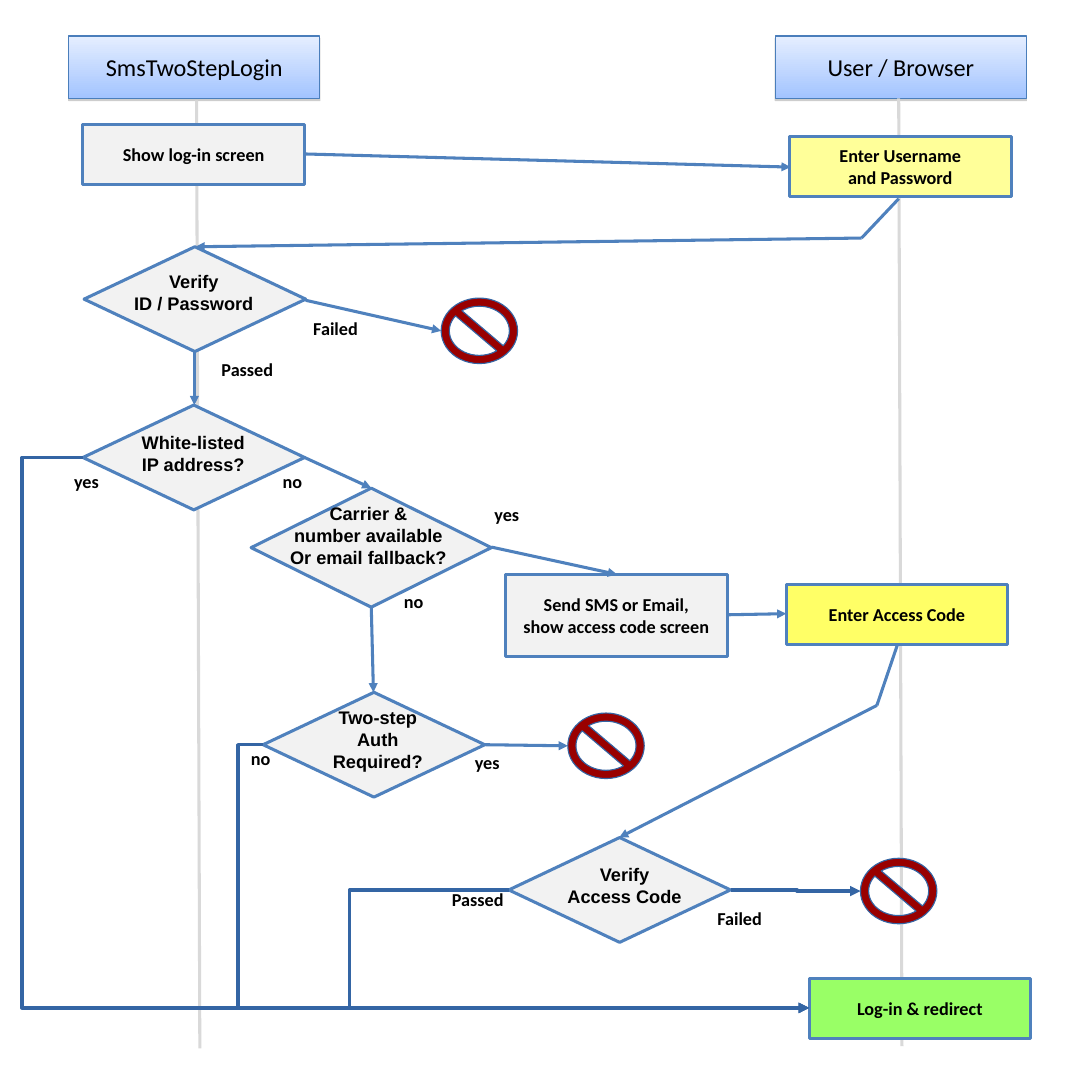
from lxml.etree import SubElement
from pptx import Presentation
from pptx.dml.color import RGBColor
from pptx.enum.shapes import MSO_CONNECTOR, MSO_SHAPE
from pptx.enum.text import MSO_ANCHOR, MSO_AUTO_SIZE, PP_ALIGN
from pptx.oxml import parse_xml
from pptx.oxml.ns import nsdecls, qn
from pptx.util import Inches, Pt

BLUE, DARK_BLUE, GREY, PALE = "4F81BD", "3465A4", "D9D9D9", "F2F2F2"
STEP_SIZE = (2.03, 0.55)
DECISION_SIZE = (2.03, 0.96)
STOP_SIZE = (0.7, 0.6)

HEADER_FONT = {"name": "Calibri", "size": Pt(16), "bold": False}
STEP_FONT = {"name": "Calibri", "size": Pt(12), "bold": True}
DECISION_FONT = {"name": "Arial", "size": Pt(12), "bold": True}
SHAPE_FRAME = {"word_wrap": True, "vertical_anchor": MSO_ANCHOR.MIDDLE}
ANSWER_FRAME = {"word_wrap": True, "vertical_anchor": MSO_ANCHOR.TOP,
                "auto_size": MSO_AUTO_SIZE.NONE, "margin_right": 0}
QUESTION_FRAME = {**ANSWER_FRAME, "margin_left": 0}

HEADERS = [(0.63, "SmsTwoStepLogin"), (7.1, "User / Browser")]
LIFELINES = [((1.8, 0.92), (1.83, 9.6)), ((8.23, 0.9), (8.26, 9.58))]
# left, top, size, fill, text; \v breaks a line inside a paragraph
STEPS = [
    (0.76, 1.14, STEP_SIZE, PALE, "Show log-in screen"),
    (7.23, 1.25, STEP_SIZE, "FFFF99", "Enter Username\vand Password"),
    (4.63, 5.26, (2.03, 0.75), PALE, "Send SMS or Email,\vshow access code screen"),
    (7.2, 5.35, STEP_SIZE, "FFFF66", "Enter Access Code"),
    (7.41, 8.96, STEP_SIZE, "99FF66", "Log-in & redirect"),
]
DECISIONS = [
    (0.77, 2.26, DECISION_SIZE),
    (0.76, 3.71, DECISION_SIZE),
    (2.3, 4.47, (2.2, 1.09)),
    (2.41, 6.34, DECISION_SIZE),
    (4.66, 7.67, DECISION_SIZE),
]
# left, top, width, height, text
QUESTIONS = [
    (1.13, 2.43, 1.29, 0.5, "Verify\nID / Password"),
    (1.2, 3.9, 1.14, 0.5, "White-listed\vIP address?"),
    (2.56, 4.55, 1.63, 0.7, "Carrier &\vnumber available\nOr email fallback?"),
    (2.95, 6.42, 1.02, 0.7, "Two-step\vAuth\nRequired?"),
    (5.1, 7.86, 1.24, 0.5, "Verify\nAccess Code"),
]
ANSWER_WIDTHS = {"yes": 0.43, "no": 0.38, "Passed": 0.67, "Failed": 0.61}
ANSWERS = [
    (2.77, 2.86, "Failed"), (1.93, 3.23, "Passed"),
    (0.58, 4.26, "yes"), (2.49, 4.26, "no"),
    (4.43, 4.56, "yes"), (3.6, 5.36, "no"),
    (2.2, 6.79, "no"), (4.25, 6.83, "yes"),
    (4.04, 8.09, "Passed"), (6.47, 8.26, "Failed"),
]
STOPS = [(4.04, 2.73), (5.2, 6.53), (7.88, 7.86)]
ARROWS = [
    ((2.79, 1.41), (7.24, 1.53)),
    ((7.89, 2.18), (1.79, 2.26)),
    ((2.8, 2.75), (4.04, 3.03)),
    ((1.78, 3.22), (1.78, 3.71)),
    ((2.79, 4.19), (3.4, 4.47)),
    ((4.5, 5.01), (5.65, 5.26)),
    ((6.66, 5.63), (7.2, 5.62)),
    ((3.4, 5.56), (3.42, 6.34)),
    ((4.44, 6.82), (5.2, 6.83)),
    ((8.03, 6.46), (5.67, 7.67)),
]
ARROW_STARTS = [((8.23, 1.82), (7.89, 2.18)), ((8.22, 5.9), (8.03, 6.46))]
LOGIN_ENTRY = (7.41, 9.23)
# start, end, x of the vertical part
ELBOWS = [
    ((0.76, 4.19), LOGIN_ENTRY, 0.2),
    ((4.66, 8.15), LOGIN_ENTRY, 3.2),
    ((2.41, 6.82), LOGIN_ENTRY, 2.18),
    ((6.69, 8.15), (7.88, 8.16), 7.3),
]


def rgb(color):
    return RGBColor.from_string(color)


def set_all(target, values):
    for name, value in values.items():
        setattr(target, name, value)


def write(holder, text, font, frame, align=PP_ALIGN.CENTER):
    set_all(holder.text_frame, frame)
    holder.text_frame.text = text
    for paragraph in holder.text_frame.paragraphs:
        paragraph.alignment = align
        set_all(paragraph.font, font)
        paragraph.font.color.rgb = rgb("000000")


def add_block(slide, kind, left, top, size, fill, line=BLUE, weight=2):
    block = slide.shapes.add_shape(kind, *map(Inches, (left, top, *size)))
    block.shadow.inherit = False
    block.fill.solid()
    block.fill.fore_color.rgb = rgb(fill)
    block.line.color.rgb = rgb(line)
    block.line.width = Pt(weight)
    return block


def add_header(slide, left, text):
    """Lane title with a vertical gradient and a shadow just below it."""
    header = add_block(slide, MSO_SHAPE.RECTANGLE, left, 0.33, (2.3, 0.57), PALE,
                       "4A7EBB", 0.75)
    header.fill.gradient()
    header.fill.gradient_angle = 270
    for stop, color in zip(header.fill.gradient_stops, ("E5EEFF", "A3C4FF")):
        stop.color.rgb = rgb(color)
    effects = header._element.spPr.find(qn("a:effectLst"))
    effects.append(parse_xml(
        f'<a:outerShdw {nsdecls("a")} blurRad="0" dist="20320" dir="5400000" rotWithShape="0">'
        '<a:srgbClr val="808080"><a:alpha val="38000"/></a:srgbClr></a:outerShdw>'))
    write(header, text, HEADER_FONT, SHAPE_FRAME)


def add_label(slide, left, top, width, height, text, font, frame, align):
    label = slide.shapes.add_textbox(*map(Inches, (left, top, width, height)))
    write(label, text, font, frame, align)


def add_line(slide, start, end, color=BLUE, weight=2, arrow=False,
             kind=MSO_CONNECTOR.STRAIGHT):
    line = slide.shapes.add_connector(kind, *map(Inches, (*start, *end)))
    line.line.color.rgb = rgb(color)
    line.line.width = Pt(weight)
    if arrow:
        SubElement(line.line._get_or_add_ln(), qn("a:tailEnd"), type="triangle")
    SubElement(line._element.spPr, qn("a:effectLst"))
    return line


def add_elbow(slide, start, end, bend_x):
    """Right-angled arrow whose vertical part stands at bend_x."""
    elbow = add_line(slide, start, end, DARK_BLUE, 2.3, True, MSO_CONNECTOR.ELBOW)
    bend = round((bend_x - start[0]) / (end[0] - start[0]) * 100000)
    guides = elbow._element.spPr.find(qn("a:prstGeom")).find(qn("a:avLst"))
    SubElement(guides, qn("a:gd"), name="adj1", fmla=f"val {bend}")


def main():
    deck = Presentation()
    deck.slide_width = deck.slide_height = Inches(10)
    slide = deck.slides.add_slide(deck.slide_layouts[6])

    for left, text in HEADERS:
        add_header(slide, left, text)
    for start, end in LIFELINES:
        add_line(slide, start, end, GREY)
    for left, top, size, fill, text in STEPS:
        step = add_block(slide, MSO_SHAPE.RECTANGLE, left, top, size, fill)
        write(step, text, STEP_FONT, SHAPE_FRAME)
    for left, top, size in DECISIONS:
        add_block(slide, MSO_SHAPE.DIAMOND, left, top, size, PALE)
    for start, end in ARROW_STARTS:
        add_line(slide, start, end)
    for start, end in ARROWS:
        add_line(slide, start, end, arrow=True)
    for start, end, bend_x in ELBOWS:
        add_elbow(slide, start, end, bend_x)
    for left, top in STOPS:
        stop = add_block(slide, MSO_SHAPE.NO_SYMBOL, left, top, STOP_SIZE,
                         "990000", DARK_BLUE, 0)
        stop.adjustments[0] = 0.125
    for *place, text in QUESTIONS:
        add_label(slide, *place, text, DECISION_FONT, QUESTION_FRAME, PP_ALIGN.CENTER)
    for left, top, text in ANSWERS:
        add_label(slide, left, top, ANSWER_WIDTHS[text], 0.3, text, STEP_FONT,
                  ANSWER_FRAME, PP_ALIGN.LEFT)

    deck.save("out.pptx")


if __name__ == "__main__":
    main()
